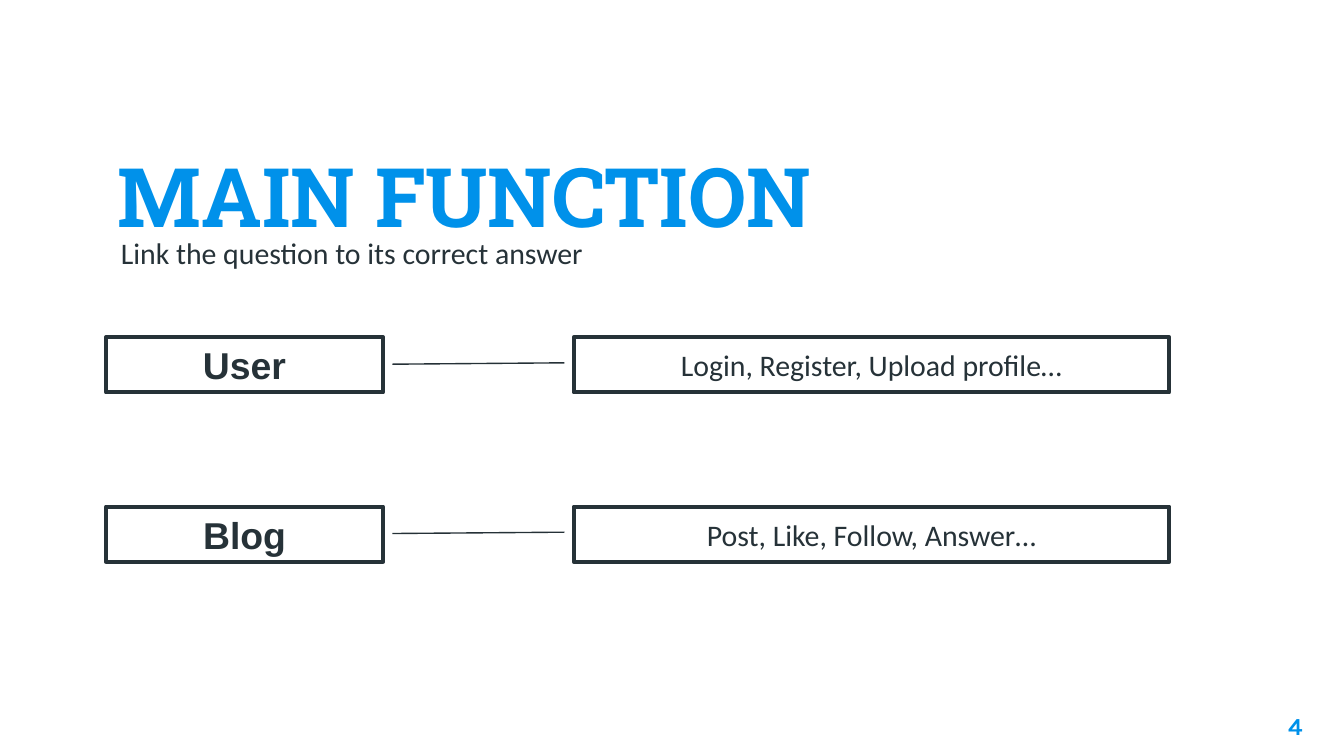
import pptx
import pptx.dml.color
import pptx.enum.shapes
import pptx.enum.text
import pptx.oxml
import pptx.util

INK, BLUE, LINK = "263238", "0091EA", "253137"
ALIGN = pptx.enum.text.PP_ALIGN
ANCHOR = pptx.enum.text.MSO_ANCHOR
INCH = pptx.util.Inches

ROWS = [
    ("User", "Login, Register, Upload profile…"),
    ("Blog", "Post, Like, Follow, Answer…"),
]
ROW_TOP, ROW_STEP, ROW_HEIGHT = 2.51, 1.26, 0.41
NAME_LEFT, NAME_WIDTH = 0.79, 2.06
DETAIL_LEFT, DETAIL_WIDTH = 4.27, 4.43
LINK_GAP = 0.07


def color(value):
    """Return the RGB colour for a hex string."""
    return pptx.dml.color.RGBColor.from_string(value)


def write(sp, text, size=16, font="Calibri", fill=INK, bold=False,
          align=ALIGN.LEFT, anchor=ANCHOR.TOP, left=0.1):
    """Put one formatted paragraph into a shape."""
    tf = sp.text_frame
    tf.word_wrap = True
    tf.vertical_anchor = anchor
    tf.margin_left = INCH(left)
    tf.margin_top = tf.margin_right = tf.margin_bottom = INCH(0.1)
    p = tf.paragraphs[0]
    p.alignment = align
    r = p.add_run()
    r.text = text
    r.font.size = pptx.util.Pt(size)
    r.font.name = font
    r.font.bold = bold
    r.font.color.rgb = color(fill)


def add_text(s, box, text, **fmt):
    """Add a text box given as left, top, width and height."""
    write(s.shapes.add_textbox(*map(INCH, box)), text, **fmt)


def add_box(s, box, text, **fmt):
    """Add an outlined rectangle with centred text."""
    sp = s.shapes.add_shape(
        pptx.enum.shapes.MSO_SHAPE.RECTANGLE, *map(INCH, box))
    sp.shadow.inherit = False
    sp.fill.background()
    sp.line.color.rgb = color(INK)
    sp.line.width = pptx.util.Pt(2.25)
    write(sp, text, align=ALIGN.CENTER, anchor=ANCHOR.MIDDLE, **fmt)


def add_link(s, x1, y1, x2, y2):
    """Draw a thin line between two points."""
    sp = s.shapes.add_connector(
        pptx.enum.shapes.MSO_CONNECTOR.STRAIGHT, *map(INCH, (x1, y1, x2, y2)))
    sp.line.color.rgb = color(LINK)
    sp.line.width = pptx.util.Pt(0.75)
    effects = pptx.oxml.ns.qn("a:effectLst")
    sp._element.spPr.append(sp._element.spPr.makeelement(effects, {}))


def add_row(s, index, name, detail):
    """Add a name box linked to its detail box."""
    top = ROW_TOP + index * ROW_STEP
    add_box(s, (NAME_LEFT, top, NAME_WIDTH, ROW_HEIGHT), name,
            size=20, font="Arial", bold=True)
    add_box(s, (DETAIL_LEFT, top, DETAIL_WIDTH, ROW_HEIGHT), detail)
    add_link(s, NAME_LEFT + NAME_WIDTH + LINK_GAP, top + 0.2,
             DETAIL_LEFT - LINK_GAP, top + 0.19)


def main():
    """Build and save the slide."""
    prs = pptx.Presentation()
    prs.slide_width = INCH(10)
    prs.slide_height = prs.slide_width * 9 // 16
    s = prs.slides.add_slide(prs.slide_layouts[6])
    add_text(s, (9.19, 5.19, 0.6, 0.43), "4", size=13, font="Karla",
             fill=BLUE, bold=True, align=ALIGN.RIGHT)
    add_text(s, (0.78, 0.98, 8.44, 0.63), "MAIN FUNCTION", size=44,
             font="Roboto Slab", fill=BLUE, bold=True)
    add_text(s, (0.78, 1.61, 8.44, 0.54),
             "Link the question to its correct answer",
             anchor=ANCHOR.MIDDLE, left=0.12)
    for index, (name, detail) in enumerate(ROWS):
        add_row(s, index, name, detail)
    prs.save("out.pptx")


if __name__ == "__main__":
    main()
